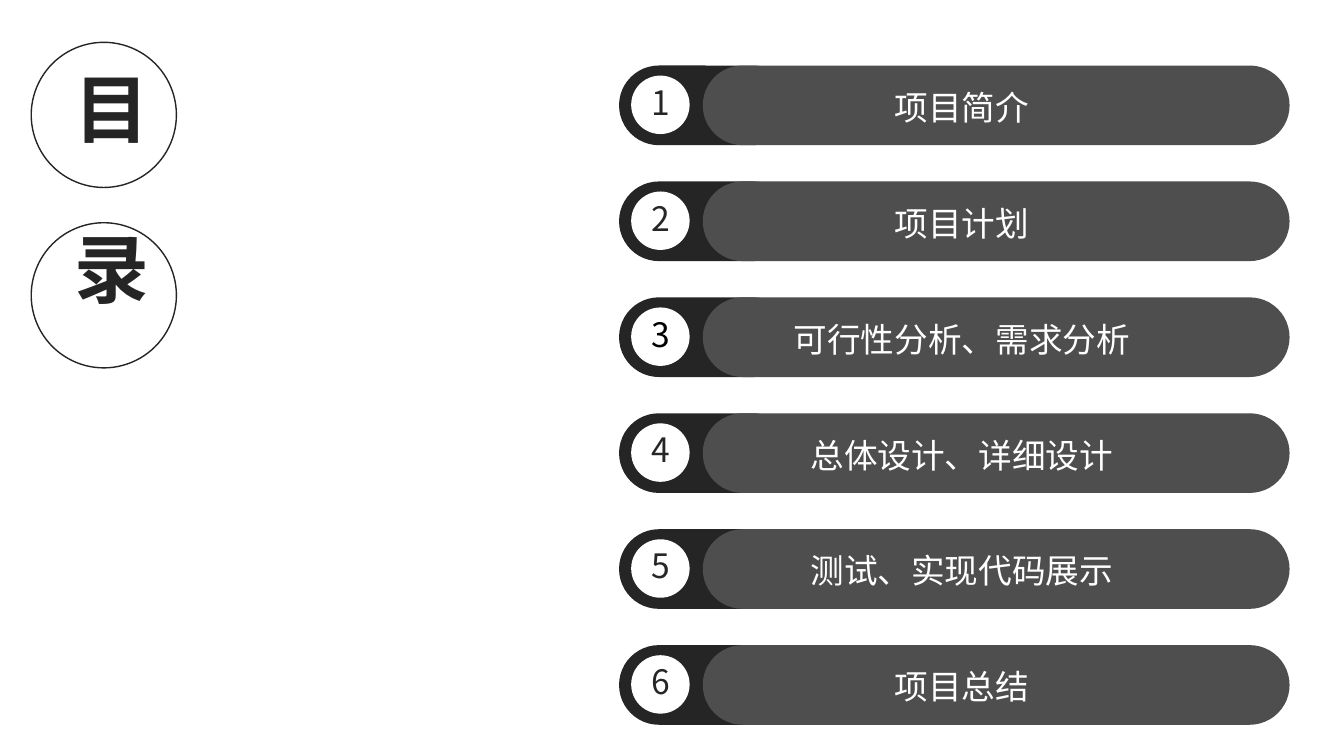
from lxml.etree import SubElement
from pptx import Presentation
from pptx.dml.color import RGBColor
from pptx.enum.shapes import MSO_SHAPE
from pptx.enum.text import MSO_ANCHOR, PP_ALIGN
from pptx.oxml.ns import qn
from pptx.util import Inches, Pt

CHINESE_FONT = "Noto Sans CJK SC"
DARK = "252525"
NUMBER_COLOR = "262626"
GREY = "4E4E4E"
WHITE = "FFFFFF"

FIRST_TOP = 0.65
ROW_STEP = 1.15
BAR_HEIGHT = 0.79

TOPICS = [
    ("项目简介", NUMBER_COLOR),
    ("项目计划", NUMBER_COLOR),
    ("可行性分析、需求分析", "000000"),
    ("总体设计、详细设计", NUMBER_COLOR),
    ("测试、实现代码展示", NUMBER_COLOR),
    ("项目总结", NUMBER_COLOR),
]
TITLE = [("目", 0.42, 0.57), ("录", 2.21, 2.16)]


def color(value):
    """Turn a hex string into a colour."""
    return RGBColor.from_string(value)


def add_box(shapes, kind, left, top, width, height, fill=None, line=None):
    """Add a preset shape with an optional fill and outline."""
    shape = shapes.add_shape(
        kind, Inches(left), Inches(top), Inches(width), Inches(height)
    )
    shape.shadow.inherit = False
    if fill:
        shape.fill.solid()
        shape.fill.fore_color.rgb = color(fill)
    else:
        shape.fill.background()
    if line:
        shape.line.color.rgb = color(line)
        shape.line.width = Pt(1)
    else:
        shape.line.fill.background()
    return shape


def add_text(shapes, text, left, top, width, height, *, ink, size=24,
             font=CHINESE_FONT, bold=False, wrap=True):
    """Add a centred line of text."""
    box = shapes.add_textbox(
        Inches(left), Inches(top), Inches(width), Inches(height)
    )
    frame = box.text_frame
    frame.word_wrap = wrap
    frame.vertical_anchor = MSO_ANCHOR.MIDDLE
    paragraph = frame.paragraphs[0]
    paragraph.alignment = PP_ALIGN.CENTER
    run = paragraph.add_run()
    run.text = text
    run.font.name = font
    run.font.size = Pt(size)
    run.font.bold = bold
    run.font.color.rgb = color(ink)
    SubElement(run.font._element, qn("a:ea"), typeface=CHINESE_FONT)


def add_pill(shapes, left, top, width, fill):
    """Add a bar with fully rounded ends."""
    pill = add_box(shapes, MSO_SHAPE.ROUNDED_RECTANGLE,
                   left, top, width, BAR_HEIGHT, fill=fill)
    pill.adjustments[0] = 0.5


def add_topic(slide, number, topic, number_color, top):
    """Add one numbered row of the contents as a group."""
    shapes = slide.shapes.add_group_shape().shapes
    add_pill(shapes, 6.14, top, 1.73, DARK)
    add_pill(shapes, 6.97, top, 5.82, GREY)
    add_box(shapes, MSO_SHAPE.OVAL, 6.26, top + 0.1, 0.58, 0.58, fill=WHITE)
    add_text(shapes, str(number), 6.35, top + 0.11, 0.4, 0.5,
             ink=number_color, wrap=False)
    add_text(shapes, topic, 7.21, top + 0.16, 4.66, 0.5, ink=WHITE)


def add_title(slide):
    """Add the circled title characters."""
    for character, circle_top, text_top in TITLE:
        add_box(slide.shapes, MSO_SHAPE.OVAL, 0.31, circle_top, 1.44, 1.44,
                line=DARK)
        add_text(slide.shapes, character, 0.56, text_top, 1.1, 1,
                 ink=DARK, size=53.4, font="Arial", bold=True, wrap=False)


def main():
    """Build the contents slide and save it."""
    presentation = Presentation()
    presentation.slide_width = Inches(13.33)
    presentation.slide_height = Inches(7.5)
    slide = presentation.slides.add_slide(presentation.slide_layouts[6])
    for index, (topic, number_color) in enumerate(TOPICS):
        add_topic(slide, index + 1, topic, number_color,
                  FIRST_TOP + index * ROW_STEP)
    add_title(slide)
    presentation.save("out.pptx")


if __name__ == "__main__":
    main()
